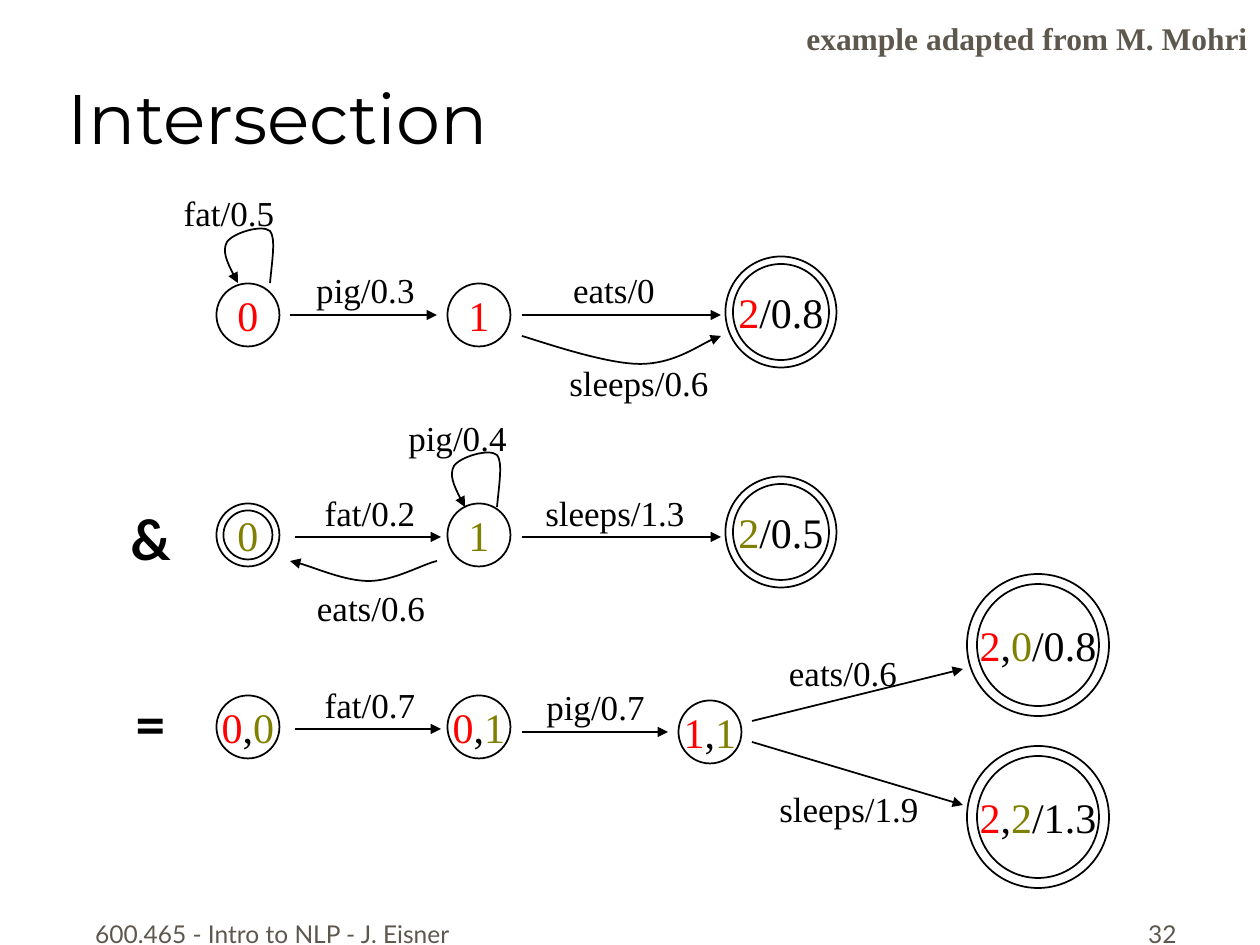
"""Build the slide on intersecting weighted finite-state automata."""
from pptx import Presentation
from pptx.dml.color import RGBColor
from pptx.enum import shapes, text
from pptx.oxml.ns import qn
from pptx.oxml.xmlchemy import OxmlElement
from pptx.util import Pt

SCALE = 914400 / 126
BLACK = RGBColor(0x00, 0x00, 0x00)
RED = RGBColor(0xFF, 0x00, 0x00)
OLIVE = RGBColor(0x80, 0x80, 0x00)
GREY = RGBColor(0x5E, 0x57, 0x4E)
SERIF, SANS, HEADING = "Times New Roman", "Lato", "Montserrat"
LEFT, CENTER, RIGHT = text.PP_ALIGN.LEFT, text.PP_ALIGN.CENTER, text.PP_ALIGN.RIGHT
TOP, MIDDLE, BOTTOM = text.MSO_ANCHOR.TOP, text.MSO_ANCHOR.MIDDLE, text.MSO_ANCHOR.BOTTOM
LABEL_WIDTHS = {"fat": 116, "pig": 123, "eats": 134, "sleeps": 164}
LOOP = [(270, 283), (272, 261), (276, 238), (270, 231), (262, 224), (233, 233),
        (227, 242), (222, 251), (229, 267), (238, 283)]


def px(*lengths):
    return [round(n * SCALE) for n in lengths]


class Diagram:
    """Draws automaton parts on one slide in a shared style."""

    def __init__(self, slide):
        self.slide = slide
        self.shapes = slide.shapes

    def add_runs(self, sp, runs, size, font=SERIF, align=CENTER, anchor=MIDDLE,
                 bold=False, wrap=False, before=0):
        tf = sp.text_frame
        tf.word_wrap = wrap
        tf.auto_size = text.MSO_AUTO_SIZE.NONE
        tf.vertical_anchor = anchor
        p = tf.paragraphs[0]
        p.alignment = align
        p.space_before = Pt(before)
        for words, color in runs:
            r = p.add_run()
            r.text = words
            r.font.size = Pt(size)
            r.font.name = font
            r.font.bold = bold
            r.font.color.rgb = color

    def outline(self, sp, arrow=False):
        sp.line.color.rgb = BLACK
        sp.line.width = Pt(1)
        if arrow:
            tail = OxmlElement("a:tailEnd")
            tail.set("type", "triangle")
            sp._element.spPr.find(qn("a:ln")).append(tail)

    def title(self, words, *box):
        sp = self.shapes.title
        sp.left, sp.top, sp.width, sp.height = px(*box)
        self.add_runs(sp, [(words, BLACK)], 40, HEADING, LEFT, BOTTOM, wrap=True)

    def text(self, words, box, size, font=SERIF, color=BLACK, **style):
        sp = self.shapes.add_textbox(*px(*box))
        self.add_runs(sp, [(words, color)], size, font, **style)

    def label(self, words, x, y):
        width = LABEL_WIDTHS[words.split("/")[0]]
        self.text(words, (x, y, width, 55), 20, anchor=TOP)

    def operator(self, words, x, y, width):
        self.text(words, (x, y, width, 81), 32, SANS, bold=True, anchor=TOP)

    def circle(self, x, y, size):
        sp = self.shapes.add_shape(shapes.MSO_SHAPE.OVAL,
                                   *px(x - size / 2, y - size / 2, size, size))
        sp.shadow.inherit = False
        sp.fill.background()
        self.outline(sp)
        return sp

    def state(self, x, y, *runs, size=63, ring=None):
        self.add_runs(self.circle(x, y, size), runs, 24)
        if ring:
            self.circle(x, y, ring)

    def arrow(self, x1, y1, x2, y2):
        sp = self.shapes.add_connector(shapes.MSO_CONNECTOR.STRAIGHT, *px(x1, y1, x2, y2))
        self.outline(sp, arrow=True)
        sp._element.spPr.append(OxmlElement("a:effectLst"))

    def curve(self, points):
        builder = self.shapes.build_freeform(*points[0], scale=SCALE)
        builder.add_line_segments(points[1:], close=False)
        sp = builder.convert_to_shape()
        segments = sp._element.xpath(".//a:lnTo")
        for i in range(0, len(segments), 3):
            bezier = OxmlElement("a:cubicBezTo")
            segments[i].addprevious(bezier)
            for segment in segments[i:i + 3]:
                bezier.append(segment[0])
                segment.getparent().remove(segment)
        sp.shadow.inherit = False
        sp.fill.background()
        self.outline(sp, arrow=True)

    def loop(self, dx=0, dy=0):
        self.curve([(x + dx, y + dy) for x, y in LOOP])


def first_automaton(d):
    d.state(248, 315, ("0", RED))
    d.state(479, 315, ("1", RED))
    d.state(781, 312, ("2", RED), ("/0.8", BLACK), size=96, ring=111)
    d.loop()
    d.arrow(290, 315, 437, 315)
    d.arrow(522, 315, 721, 315)
    d.curve([(522, 336), (545, 343), (606, 364), (640, 364), (673, 364), (707, 340), (721, 336)])
    d.label("fat/0.5", 171, 185)
    d.label("pig/0.3", 304, 262)
    d.label("eats/0", 547, 262)
    d.label("sleeps/0.6", 557, 355)


def second_automaton(d):
    d.operator("&", 117, 498, 67)
    d.state(248, 535, ("0", OLIVE), ring=49)
    d.state(479, 535, ("1", OLIVE))
    d.state(781, 532, ("2", OLIVE), ("/0.5", BLACK), size=96, ring=111)
    d.loop(227, 224)
    d.arrow(295, 537, 441, 537)
    d.arrow(522, 537, 721, 537)
    d.curve([(437, 561), (423, 564), (394, 581), (369, 581), (345, 581), (304, 563), (290, 561)])
    d.label("fat/0.2", 312, 485)
    d.label("pig/0.4", 396, 410)
    d.label("sleeps/1.3", 533, 485)
    d.label("eats/0.6", 304, 580)


def intersection(d):
    comma = (",", BLACK)
    d.operator("=", 122, 683, 57)
    d.state(248, 727, ("0", RED), comma, ("0", OLIVE))
    d.state(479, 727, ("0", RED), comma, ("1", OLIVE))
    d.state(710, 732, ("1", RED), comma, ("1", OLIVE))
    for y, second, weight in ((645, "0", "/0.8"), (817, "2", "/1.3")):
        d.state(1038, y, ("2", RED), comma, (second, OLIVE), (weight, BLACK), size=122, ring=142)
    d.arrow(295, 729, 441, 729)
    d.arrow(522, 732, 668, 732)
    d.arrow(752, 721, 963, 669)
    d.arrow(752, 742, 963, 805)
    d.label("fat/0.7", 312, 677)
    d.label("pig/0.7", 534, 679)
    d.label("eats/0.6", 776, 645)
    d.label("sleeps/1.9", 767, 781)


def main():
    prs = Presentation()
    prs.slide_width, prs.slide_height = px(1260, 945)
    d = Diagram(prs.slides.add_slide(prs.slide_layouts[5]))
    d.title("Intersection", 55, 8, 1071, 157)
    note = dict(color=GREY, anchor=BOTTOM, wrap=True)
    d.text("600.465 - Intro to NLP - J. Eisner", (73, 892, 399, 63), 14, SANS, before=8.8, **note)
    d.text("32", (927, 892, 262, 63), 14, SANS, align=RIGHT, before=8.8, **note)
    d.text("example adapted from M. Mohri", (630, 0, 630, 63), 18,
           align=RIGHT, bold=True, before=11.2, **note)
    first_automaton(d)
    second_automaton(d)
    intersection(d)
    prs.save("out.pptx")


if __name__ == "__main__":
    main()
